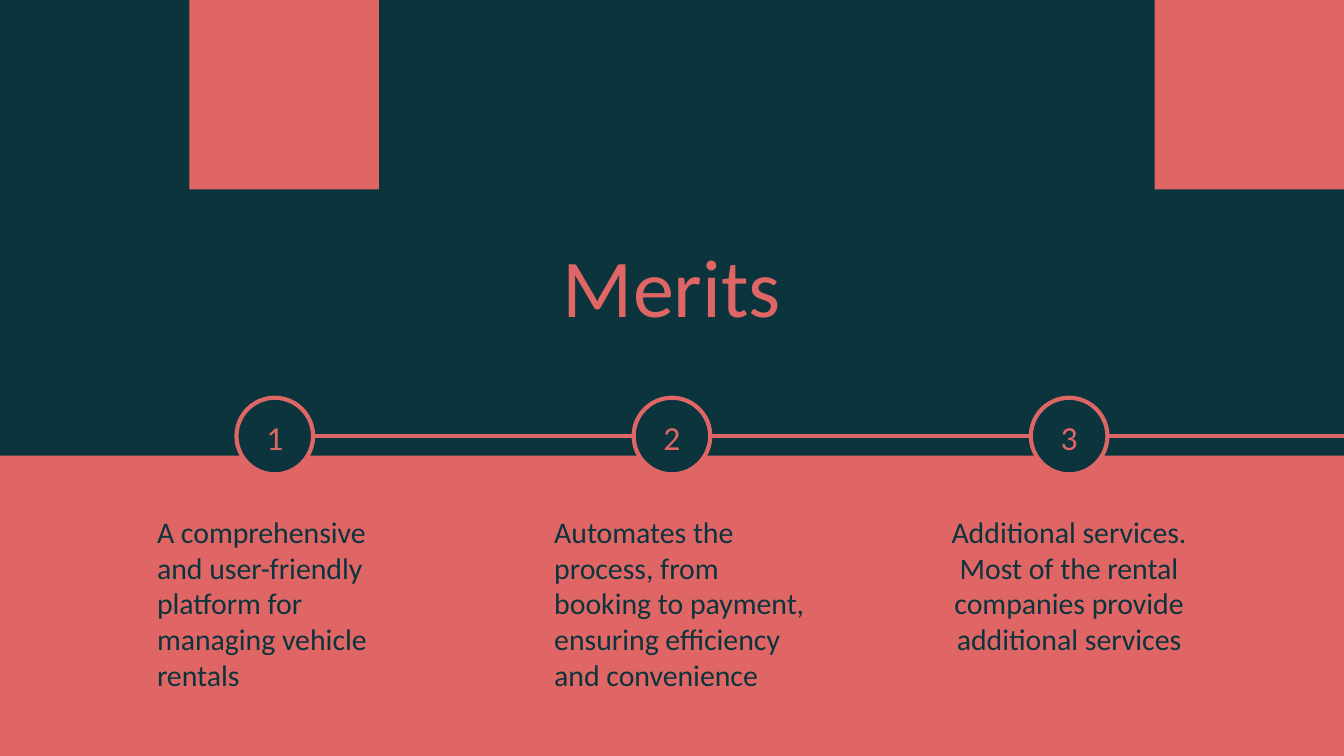
from pptx import Presentation
from pptx.dml.color import RGBColor
from pptx.enum.shapes import MSO_CONNECTOR, MSO_SHAPE
from pptx.enum.text import MSO_ANCHOR, PP_ALIGN
from pptx.oxml.xmlchemy import OxmlElement
from pptx.util import Inches, Pt

TEAL = RGBColor(0x0C, 0x34, 0x3D)
CORAL = RGBColor(0xE0, 0x66, 0x66)
FONT = "Calibri"
LINE_WIDTH = Pt(2.25)
SLIDE_WIDTH = 10
SLIDE_HEIGHT = SLIDE_WIDTH * 9 / 16

MERITS = [
    ("A comprehensive and user-friendly platform for managing vehicle rentals", PP_ALIGN.LEFT),
    ("Automates the process, from booking to payment, ensuring efficiency and convenience", PP_ALIGN.LEFT),
    ("Additional services. Most of the rental companies provide additional services", PP_ALIGN.CENTER),
]


def write_text(shape, text, size, color, alignment, anchor=MSO_ANCHOR.TOP, top_inset=0.1):
    frame = shape.text_frame
    frame.word_wrap = True
    frame.vertical_anchor = anchor
    frame.margin_left = frame.margin_right = frame.margin_bottom = Inches(0.1)
    frame.margin_top = Inches(top_inset)
    paragraph = frame.paragraphs[0]
    paragraph.text = text
    paragraph.alignment = alignment
    paragraph.font.name = FONT
    paragraph.font.size = Pt(size)
    paragraph.font.color.rgb = color
    return paragraph


def add_text(slide, left, top, width, height, *text_format):
    box = slide.shapes.add_textbox(Inches(left), Inches(top), Inches(width), Inches(height))
    return write_text(box, *text_format)


def add_filled(slide, preset, left, top, width, height, color):
    shape = slide.shapes.add_shape(preset, Inches(left), Inches(top), Inches(width), Inches(height))
    shape.shadow.inherit = False
    shape.fill.solid()
    shape.fill.fore_color.rgb = color
    shape.line.fill.background()
    return shape


def add_line(slide, start, end, y):
    line = slide.shapes.add_connector(
        MSO_CONNECTOR.STRAIGHT, Inches(start), Inches(y), Inches(end), Inches(y))
    line.line.color.rgb = CORAL
    line.line.width = LINE_WIDTH
    line._element.spPr.append(OxmlElement("a:effectLst"))


def add_backdrop(slide):
    slide.background.fill.solid()
    slide.background.fill.fore_color.rgb = TEAL
    # Lower band, running past the slide edges
    add_filled(slide, MSO_SHAPE.RECTANGLE, -0.09, 3.39, 10.16, 2.3, CORAL)
    # Top squares
    side = 1.41
    for left in (SLIDE_WIDTH - side, side):
        add_filled(slide, MSO_SHAPE.RECTANGLE, left, 0, side, side, CORAL)


def add_timeline(slide, left, top, width, column_width, line_end):
    diameter = 0.57
    line_y = top + diameter / 2
    pitch = (width - column_width) / (len(MERITS) - 1)
    for index, (text, alignment) in enumerate(MERITS):
        column_left = left + index * pitch
        circle_left = column_left + (column_width - diameter) / 2

        # Description
        paragraph = add_text(slide, column_left, top + 0.76, column_width, 0.85,
                             text, 16, TEAL, alignment)
        if alignment == PP_ALIGN.LEFT:
            paragraph._p.get_or_add_pPr().set("marL", str(Inches(0.12)))
        else:
            paragraph.space_after = Pt(16)

        # Numbered circle
        circle = add_filled(slide, MSO_SHAPE.OVAL, circle_left, top, diameter, diameter, TEAL)
        circle.line.color.rgb = CORAL
        circle.line.width = LINE_WIDTH
        write_text(circle, str(index + 1), 18, CORAL, PP_ALIGN.CENTER, MSO_ANCHOR.MIDDLE, 0.12)

        # Line to the next circle, or off the right edge
        is_last = index == len(MERITS) - 1
        add_line(slide, circle_left + diameter, line_end if is_last else circle_left + pitch, line_y)


def main():
    presentation = Presentation()
    presentation.slide_width = Inches(SLIDE_WIDTH)
    presentation.slide_height = Inches(SLIDE_HEIGHT)
    slide = presentation.slides.add_slide(presentation.slide_layouts[6])
    add_backdrop(slide)
    # Title
    add_text(slide, 0.34, 1.65, 9.32, 0.73, "Merits", 44, CORAL, PP_ALIGN.CENTER)
    add_timeline(slide, left=0.95, top=2.96, width=8.1, column_width=2.19, line_end=10.07)
    presentation.save("out.pptx")


if __name__ == "__main__":
    main()
